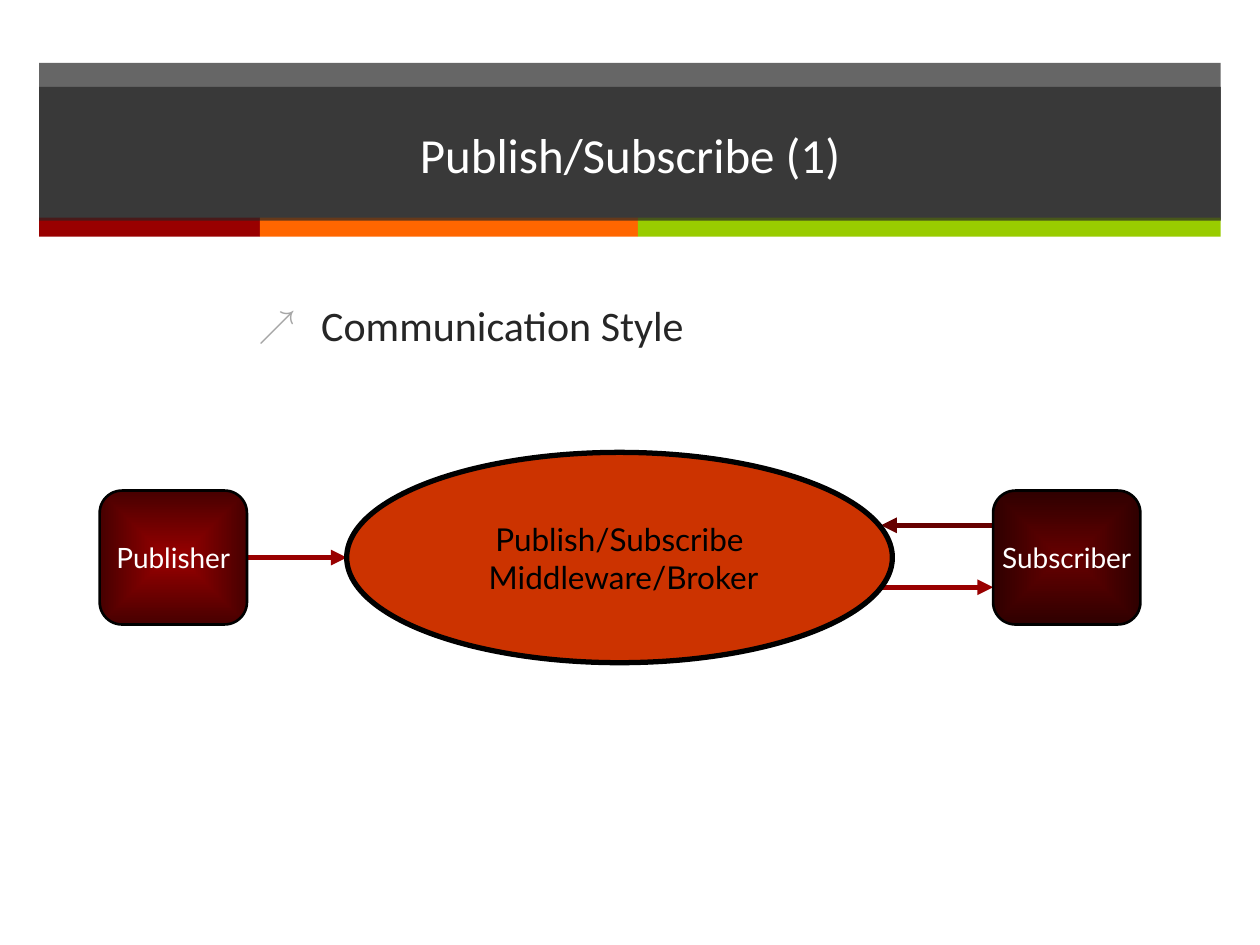
import pptx
import pptx.dml.color
import pptx.enum.shapes
import pptx.enum.text
import pptx.oxml
import pptx.oxml.ns
import pptx.util
import lxml.etree

Cm = pptx.util.Cm
Pt = pptx.util.Pt
SHAPES = pptx.enum.shapes.MSO_SHAPE
ANCHOR = pptx.enum.text.MSO_ANCHOR
ALIGN = pptx.enum.text.PP_ALIGN


def color(value):
    return pptx.dml.color.RGBColor.from_string(value)


def add_element(parent, tag, **attributes):
    return lxml.etree.SubElement(parent, pptx.oxml.ns.qn(tag), attributes)


def place(shape, left, top, width, height):
    shape.left, shape.top = Cm(left), Cm(top)
    shape.width, shape.height = Cm(width), Cm(height)


def fill_solid(shape, value, opacity=100):
    shape.fill.solid()
    shape.fill.fore_color.rgb = color(value)
    if opacity < 100:
        choice = shape.fill._xPr.find(".//" + pptx.oxml.ns.qn("a:srgbClr"))
        add_element(choice, "a:alpha", val=str(opacity * 1000))


def fill_from_center(shape, inner, outer):
    shape.fill.gradient()
    for stop, value in zip(shape.fill.gradient_stops, (inner, outer)):
        stop.color.rgb = color(value)
    gradient = shape._element.spPr.find(pptx.oxml.ns.qn("a:gradFill"))
    gradient.remove(gradient.find(pptx.oxml.ns.qn("a:lin")))
    center = add_element(gradient, "a:path", path="rect")
    add_element(center, "a:fillToRect", l="50000", t="50000", r="50000", b="50000")


def add_block(slide, kind, left, top, width, height):
    shape = slide.shapes.add_shape(kind, Cm(left), Cm(top), Cm(width), Cm(height))
    shape.shadow.inherit = False
    shape.line.fill.background()
    return shape


def format_text(shape, text, font, size, value, alignment, anchor, wrap=True):
    frame = shape.text_frame
    frame.text = text
    frame.word_wrap = wrap
    frame.auto_size = pptx.enum.text.MSO_AUTO_SIZE.NONE
    frame.vertical_anchor = anchor
    for paragraph in frame.paragraphs:
        paragraph.alignment = alignment
        for run in paragraph.runs:
            run.font.name = font
            run.font.size = Pt(size)
            run.font.color.rgb = color(value)


def build_header(slide, left, top, width):
    band = add_block(slide, SHAPES.RECTANGLE, left, top, width, 3.14)
    fill_solid(band, "262626", 70)

    stripe_left = left
    for stripe_width, value in ((4.45, "990000"), (7.62, "FF6600"), (11.75, "99CC00")):
        stripe = add_block(slide, SHAPES.RECTANGLE, stripe_left, top + 3.12, stripe_width, 0.38)
        fill_solid(stripe, value)
        stripe_left += stripe_width

    title = slide.shapes.title
    slide.shapes._spTree.append(title._element)
    place(title, left, top + 0.48, width, 2.7)
    fill_solid(title, "262626", 70)
    format_text(title, "Publish/Subscribe (1)", "Calibri", 28, "FFFFFF",
                ALIGN.CENTER, ANCHOR.MIDDLE)


def build_body(slide, left, top, width, height):
    body = slide.placeholders[1]
    place(body, left, top, width, height)
    format_text(body, "Communication Style", "Calibri", 24, "262626",
                ALIGN.LEFT, ANCHOR.TOP)
    paragraph = body.text_frame.paragraphs[0]
    paragraph.space_before = Pt(0)
    properties = paragraph._p.get_or_add_pPr()
    properties.set("marL", str(Cm(1.27)))
    properties.set("indent", str(-Cm(1.27)))
    bullet_color = add_element(properties, "a:buClr")
    add_element(bullet_color, "a:srgbClr", val="A6A6A6")
    add_element(properties, "a:buSzPct", val="90000")
    add_element(properties, "a:buChar", char="↗")


def add_arrow(slide, start, end, y, value):
    arrow = slide.shapes.add_connector(
        pptx.enum.shapes.MSO_CONNECTOR.STRAIGHT, Cm(start), Cm(y), Cm(end), Cm(y))
    arrow.line.color.rgb = color(value)
    arrow.line.width = Pt(3)
    add_element(arrow.line._get_or_add_ln(), "a:tailEnd", type="triangle")
    add_element(arrow._element.spPr, "a:effectLst")
    return arrow


def add_node(slide, kind, text, size, text_color, line_width, box):
    node = add_block(slide, kind, *box)
    node.line.color.rgb = color("000000")
    node.line.width = Pt(line_width)
    format_text(node, text, "Lato", size, text_color, ALIGN.CENTER, ANCHOR.MIDDLE, False)
    return node


def build_diagram(slide, left, top, width, height):
    node_width, node_height = 2.97, 2.7
    broker_left, broker_width = left + 4.98, 11
    middle = top + height / 2
    subscriber_left = left + width - node_width
    broker_edge = broker_left + broker_width - 0.23

    add_arrow(slide, subscriber_left, broker_edge, middle - 0.65, "660000")
    add_arrow(slide, broker_edge, subscriber_left, middle + 0.6, "990000")
    publishing = add_arrow(slide, left + node_width, broker_left, middle, "990000")

    nodes = {}
    for name, node_left, inner, outer in (
        ("Publisher", left, "990000", "470000"),
        ("Subscriber", subscriber_left, "660000", "2F0000"),
    ):
        box = (node_left, middle - node_height / 2, node_width, node_height)
        nodes[name] = add_node(slide, SHAPES.ROUNDED_RECTANGLE, name, 16, "FFFFFF", 1.5, box)
        fill_from_center(nodes[name], inner, outer)
    publishing.begin_connect(nodes["Publisher"], 3)

    broker = add_node(slide, SHAPES.OVAL, "Publish/Subscribe\n Middleware/Broker", 18,
                      "000000", 3, (broker_left, top, broker_width, height))
    fill_solid(broker, "CC3300")


def main():
    presentation = pptx.Presentation()
    presentation.slide_width, presentation.slide_height = Cm(25.4), Cm(19.05)
    slide = presentation.slides.add_slide(presentation.slide_layouts[1])
    build_header(slide, 0.79, 1.27, 23.82)
    build_body(slide, 4.95, 5.92, 19.66, 11.1)
    build_diagram(slide, 2.01, 9.12, 20.98, 4.24)
    presentation.save("out.pptx")


if __name__ == "__main__":
    main()
